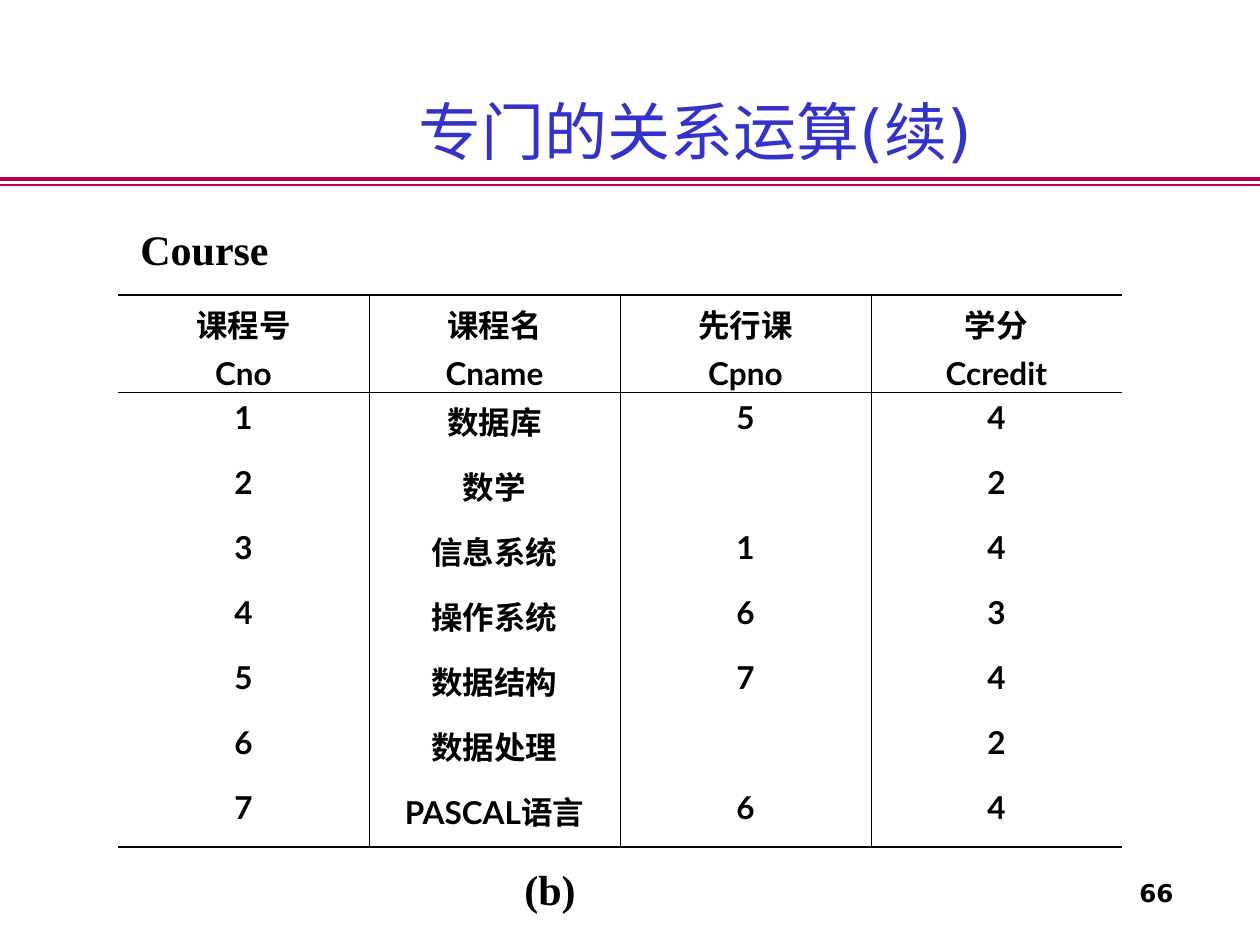
from lxml import etree
from pptx import Presentation, util as u
from pptx.dml.color import RGBColor
from pptx.enum import lang, shapes, text
from pptx.oxml.ns import qn

PX = 914400 // 126  # EMU per pixel
BLACK = RGBColor(0x00, 0x00, 0x00)
BLUE = RGBColor(0x33, 0x33, 0xCC)
CRIMSON = RGBColor(0xBA, 0x00, 0x5D)
THIN, THICK = 0.45, 1.08
LEFT, CENTER, RIGHT = text.PP_ALIGN.LEFT, text.PP_ALIGN.CENTER, text.PP_ALIGN.RIGHT


def style(tf, size, font, color, bold, align):
    for p in tf.paragraphs:
        p.alignment = align
        for r in p.runs:
            r.font.size = u.Pt(size)
            r.font.name = font
            r.font.bold = bold
            r.font.color.rgb = color
            r.font.language_id = lang.MSO_LANGUAGE_ID.SIMPLIFIED_CHINESE


def border(cell, side, width):
    ln = etree.SubElement(cell._tc.get_or_add_tcPr(), qn("a:ln" + side))
    if not width:
        etree.SubElement(ln, qn("a:noFill"))
        return
    ln.set("w", str(u.Pt(width)))
    fill = etree.SubElement(ln, qn("a:solidFill"))
    etree.SubElement(fill, qn("a:srgbClr")).set("val", str(BLACK))


prs = Presentation()
prs.slide_width, prs.slide_height = u.Inches(10), u.Inches(7.5)
s = prs.slides.add_slide(prs.slide_layouts[6])

# Double rule under the title
for y, width in [(179, 2.25), (185, 1)]:
    rule = s.shapes.add_connector(shapes.MSO_CONNECTOR.STRAIGHT, 0, y * PX, 1260 * PX, y * PX)
    rule.line.color.rgb = CRIMSON
    rule.line.width = u.Pt(width)
    etree.SubElement(rule._element.spPr, qn("a:effectLst"))

# Title, table name, caption and page number
SERIF, SANS = "Times New Roman", "DejaVu Sans"
TOP, MIDDLE = text.MSO_ANCHOR.TOP, text.MSO_ANCHOR.MIDDLE
FIT, FIXED = text.MSO_AUTO_SIZE.SHAPE_TO_FIT_TEXT, text.MSO_AUTO_SIZE.NONE
for words, box, size, font, color, bold, align, anchor, wrap, fit in [
    ("专门的关系运算(续)", (159, 29, 1073, 202), 36, SANS, BLUE, False, CENTER, MIDDLE, True, FIXED),
    ("Course", (128, 217, 154, 63), 24, SERIF, BLACK, True, LEFT, TOP, False, FIT),
    ("(b)", (512, 857, 77, 63), 24, SERIF, BLACK, True, LEFT, TOP, False, FIT),
    ("66", (1113, 872, 73, 42), 14, SANS, BLACK, True, RIGHT, MIDDLE, False, FIXED),
]:
    tf = s.shapes.add_textbox(*(v * PX for v in box)).text_frame
    tf.text = words
    tf.word_wrap = wrap
    tf.auto_size = fit
    tf.vertical_anchor = anchor
    style(tf, size, font, color, bold, align)

# Course table
rows = [
    ("课程号\nCno", "课程名\nCname", "先行课\nCpno", "学分\nCcredit"),
    ("1", "数据库", "5", "4"),
    ("2", "数学", "", "2"),
    ("3", "信息系统", "1", "4"),
    ("4", "操作系统", "6", "3"),
    ("5", "数据结构", "7", "4"),
    ("6", "数据处理", "", "2"),
    ("7", "PASCAL语言", "6", "4"),
]
last_row, last_col = len(rows) - 1, len(rows[0]) - 1
heights = [97] + [65] * last_row
table = s.shapes.add_table(len(rows), len(rows[0]), 118 * PX, 295 * PX,
                           1004 * PX, sum(heights) * PX).table
table.first_row = table.horz_banding = False
for col in table.columns:
    col.width = 251 * PX
for i, values in enumerate(rows):
    table.rows[i].height = heights[i] * PX
    for j, value in enumerate(values):
        cell = table.cell(i, j)
        cell.text_frame.text = value
        style(cell.text_frame, 18, "Lato", BLACK, True, CENTER)
        for p in cell.text_frame.paragraphs[1:]:
            p.space_before = u.Pt(4.5)
        border(cell, "L", THIN if j > 0 else 0)
        border(cell, "R", THIN if j < last_col else 0)
        border(cell, "T", {0: THICK, 1: THIN}.get(i, 0))
        border(cell, "B", {0: THIN, last_row: THICK}.get(i, 0))
        cell.fill.background()

prs.save("out.pptx")
